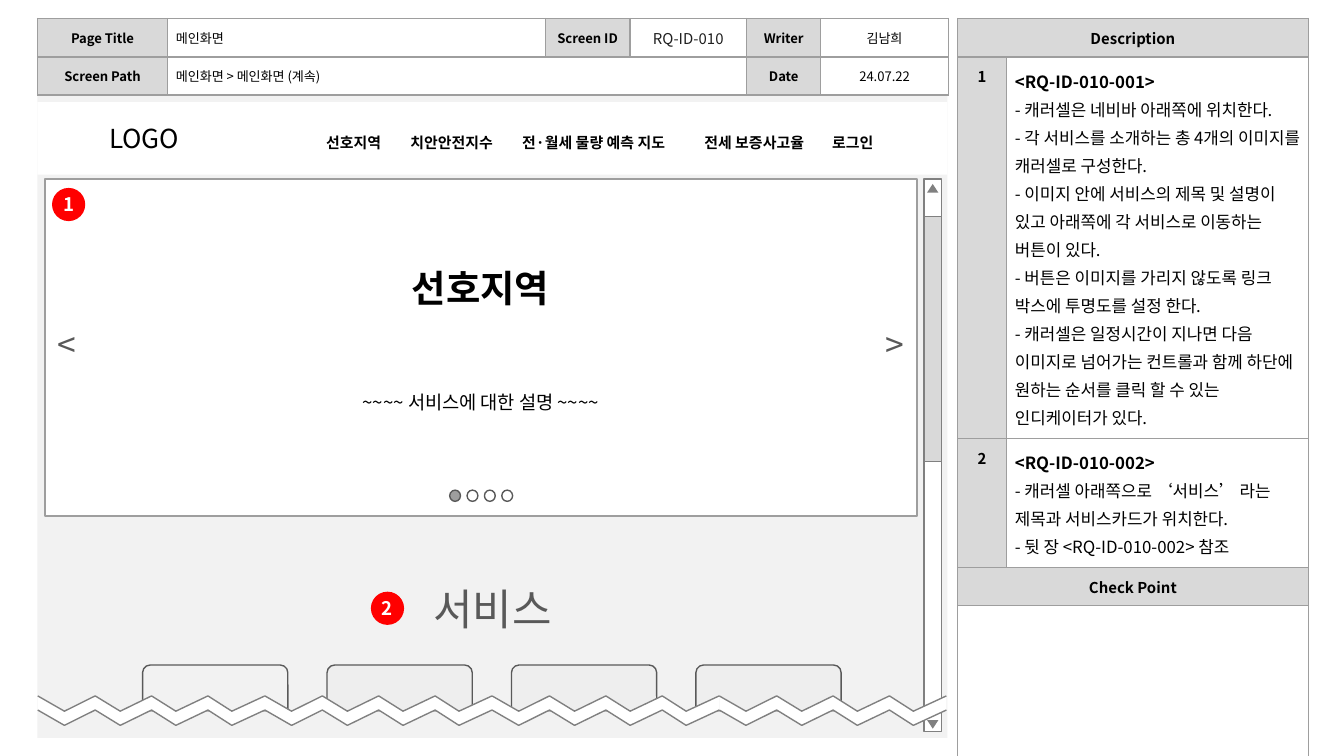
from lxml import etree
from pptx import Presentation
from pptx.dml.color import RGBColor
from pptx.enum.shapes import MSO_SHAPE
from pptx.enum.text import MSO_ANCHOR, PP_ALIGN
from pptx.oxml.ns import qn
from pptx.util import Pt

RECT, OVAL = MSO_SHAPE.RECTANGLE, MSO_SHAPE.OVAL
TRIANGLE, CARD = MSO_SHAPE.ISOSCELES_TRIANGLE, MSO_SHAPE.ROUND_2_SAME_RECTANGLE
LEFT, CENTER = PP_ALIGN.LEFT, PP_ALIGN.CENTER
TOP, MIDDLE = MSO_ANCHOR.TOP, MSO_ANCHOR.MIDDLE
FONT = "Noto Sans CJK KR"
BLACK, WHITE, DARK, GRAY = "000000", "FFFFFF", "595959", "9E9E9E"
HEAD, BAR, RED = "D9D9D9", "808080", "FF0000"


def rgb(value):
    """Turn a hex string into a colour."""
    return RGBColor.from_string(value)


def paint(sp, fill=None, line=None):
    """Set fill and outline and drop the shadow."""
    sp.shadow.inherit = False
    for part, color in ((sp.fill, fill), (sp.line.fill, line)):
        if color:
            part.solid()
            part.fore_color.rgb = rgb(color)
        else:
            part.background()
    if line:
        sp.line.width = Pt(0.75)
    return sp


def add_shape(shapes, kind, box, fill=None, line=None):
    """Add a preset shape in a box given in points."""
    return paint(shapes.add_shape(kind, *map(Pt, box)), fill, line)


def add_run(p, text, size, color=BLACK, bold=False):
    """Append a formatted run to a paragraph."""
    r = p.add_run()
    r.text = text
    for name, value in dict(size=Pt(size), bold=bold, name=FONT).items():
        setattr(r.font, name, value)
    r.font.color.rgb = rgb(color)
    etree.SubElement(r.font._element, qn("a:ea"), typeface=FONT)


def write(tf, lines, inset=7.2, align=CENTER):
    """Fill a text frame with (text, size, color, bold, space before) lines."""
    for name in ("margin_left", "margin_right", "margin_top", "margin_bottom"):
        setattr(tf, name, Pt(inset))
    tf.word_wrap = True
    tf.vertical_anchor = MIDDLE
    for i, (text, size, color, bold, gap) in enumerate(lines):
        p = tf.add_paragraph() if i else tf.paragraphs[0]
        p.alignment = align
        p.space_before = Pt(gap)
        add_run(p, text, size, color, bold)


def add_label(shapes, box, lines, align=CENTER):
    """Add a text box."""
    write(shapes.add_textbox(*map(Pt, box)).text_frame, lines, align=align)


def style_cell(cell, fill=None, anchor=MIDDLE):
    """Give a cell its borders, insets and fill."""
    tc_pr = cell._tc.get_or_add_tcPr()
    for side in ("a:lnL", "a:lnR", "a:lnT", "a:lnB"):
        ln = etree.SubElement(tc_pr, qn(side), w=str(Pt(0.75)))
        solid = etree.SubElement(ln, qn("a:solidFill"))
        etree.SubElement(solid, qn("a:srgbClr"), val=GRAY)
    for name in ("margin_left", "margin_right", "margin_top", "margin_bottom"):
        setattr(cell, name, Pt(4.5))
    cell.vertical_anchor = anchor
    if fill:
        cell.fill.solid()
        cell.fill.fore_color.rgb = rgb(fill)
    else:
        cell.fill.background()


def add_grid(shapes, x, y, cols, rows, spans):
    """Add a plain table with merged spans of (row, first, last)."""
    frame = shapes.add_table(len(rows), len(cols), *map(Pt, (x, y, sum(cols), sum(rows))))
    table = frame.table
    table.first_row = table.horz_banding = False
    for col, width in zip(table.columns, cols):
        col.width = Pt(width)
    for row, height in zip(table.rows, rows):
        row.height = Pt(height)
    for row, first, last in spans:
        table.cell(row, first).merge(table.cell(row, last))
    return table


def description_table(shapes, x, y):
    """Place the description column."""
    table = add_grid(shapes, x, y, (26.2, 161.7), (20.4, 203.8, 68.6, 20.4, 84),
                     [(row, 0, 1) for row in (0, 3, 4)])
    heads = ["Description", "1", "2", "Check Point", ""]
    notes = {
        1: ["<RQ-ID-010-001>",
            "- 캐러셀은 네비바 아래쪽에 위치한다.",
            "- 각 서비스를 소개하는 총 4개의 이미지를 캐러셀로 구성한다.",
            "- 이미지 안에 서비스의 제목 및 설명이 있고 아래쪽에 각 서비스로 이동하는 버튼이 있다.",
            "- 버튼은 이미지를 가리지 않도록 링크 박스에 투명도를 설정 한다.",
            "- 캐러셀은 일정시간이 지나면 다음 이미지로 넘어가는 컨트롤과 함께 하단에 "
            "원하는 순서를 클릭 할 수 있는 인디케이터가 있다."],
        2: ["<RQ-ID-010-002>",
            "- 캐러셀 아래쪽으로 ‘서비스’ 라는 제목과 서비스카드가 위치한다.",
            "- 뒷 장 <RQ-ID-010-002> 참조"],
    }
    for row, head in enumerate(heads):
        style_cell(table.cell(row, 0), HEAD if head else WHITE, TOP)
        style_cell(table.cell(row, 1), None, TOP)
        if head:
            p = table.cell(row, 0).text_frame.paragraphs[0]
            p.alignment = CENTER
            add_run(p, head, 8, bold=True)
        tf = table.cell(row, 1).text_frame
        for i, note in enumerate(notes.get(row, [])):
            p = tf.add_paragraph() if i else tf.paragraphs[0]
            p.line_spacing = 1.15
            add_run(p, note, 9, bold=i == 0)


def info_table(shapes, x, y):
    """Place the page information table."""
    table = add_grid(shapes, x, y, (69.8, 202.3, 45.4, 62.6, 39.6, 68.4), (20.4, 20.4),
                     [(1, 1, 3)])
    texts = [["Page Title", "메인화면", "Screen ID", "RQ-ID-010", "Writer", "김남희"],
             ["Screen Path", "메인화면 > 메인화면 (계속)", "", "", "Date", "24.07.22"]]
    for row, line in enumerate(texts):
        for col, text in enumerate(line):
            cell = table.cell(row, col)
            head = col % 2 == 0 and text != ""
            style_cell(cell, HEAD if head else None)
            if text:
                p = cell.text_frame.paragraphs[0]
                p.alignment = LEFT if col == 1 else CENTER
                is_id = text == "RQ-ID-010"
                add_run(p, text, 8 if is_id else 7, "1F1F1F" if is_id else BLACK, head)


def carousel(shapes, x, y, w, h):
    """Place the carousel with arrows, indicators and caption."""
    group = shapes.add_group_shape().shapes
    add_shape(group, RECT, (x, y, w, h), WHITE, GRAY)
    for text, left in (("<", x - 0.7), (">", x + w - 23.8)):
        add_label(group, (left, y + 76.3, 17.3, 24.5), [(text, 18, DARK, False, 0)], LEFT)
    for i in range(4):
        add_shape(group, OVAL, (x + 216.7 + 9.3 * i, y + h - 13.9, 5.8, 6),
                  WHITE if i else GRAY, DARK)
    add_label(shapes, (x + 143.3, y + 28.8, 180, 113.8),
              [("선호지역", 20, BLACK, True, 0),
               ("~~~~ 서비스에 대한 설명 ~~~~", 10, BLACK, False, 43.4)])


def services(shapes, x, y):
    """Place the service heading and its row of cards."""
    for i in range(4):
        add_shape(shapes, CARD, (x + 98.8 * i, y + 56.9, 77.8, 24.5),
                  "EEEEEE" if i else None, DARK)
    add_label(shapes, (x + 81.4, y, 212.4, 52.6), [("서비스", 23, DARK, False, 0)])


def badge(shapes, x, y, text):
    """Place a numbered red marker."""
    sp = add_shape(shapes, OVAL, (x, y, 17.8, 17.8), RED)
    write(sp.text_frame, [(text, 10, WHITE, True, 0)], 0)


def scrollbar(shapes, x, y, w, h):
    """Place the scroll track, its arrows and the thumb."""
    group = shapes.add_group_shape().shapes
    add_shape(group, RECT, (x, y, w, h), WHITE, BAR)
    for top, turn in ((y + h - 6.2, 180), (y + 2.6, 0)):
        add_shape(group, TRIANGLE, (x + 1.7, top, 6, 4.6), BAR).rotation = turn
    add_shape(shapes, RECT, (x, y + 20, w, 131.2), HEAD, BAR)


def tear(shapes, x, y, w):
    """Place the zigzag page break in four equal tiles."""
    group = shapes.add_group_shape().shapes
    steps = (0, 14.3, 30.8, 44.2, 61, 74, 91.2, 104, w / 4)
    for tile in range(4):
        upper, lower = ([(Pt(x + tile * w / 4 + step), Pt(y + drop + 8.2 * (i % 2)))
                         for i, step in enumerate(steps)] for drop in (0, 7.6))
        band = group.build_freeform(*upper[0])
        band.add_line_segments(upper[1:] + lower[::-1], close=True)
        paint(band.convert_to_shape(), WHITE)
        edges = group.build_freeform(*upper[0])
        edges.add_line_segments(upper[1:], close=False)
        edges.move_to(*lower[0])
        edges.add_line_segments(lower[1:], close=False)
        paint(edges.convert_to_shape(), None, BAR)


def nav_bar(shapes, x, y, w, h):
    """Place the navigation bar with its menu on tab stops."""
    tf = add_shape(shapes, RECT, (x, y, w, h), WHITE).text_frame
    write(tf, [("LOGO", 14, BLACK, False, 0)], align=LEFT)
    tf.margin_left = Pt(38.4)
    p = tf.paragraphs[0]
    tabs = etree.SubElement(p._p.get_or_add_pPr(), qn("a:tabLst"))
    menu = {"선호지역": 116.3, "치안안전지수": 161.4, "전·월세 물량 예측 지도": 221.3,
            "전세 보증사고율": 318.9, "로그인": 387.4}
    for text, stop in menu.items():
        etree.SubElement(tabs, qn("a:tab"), pos=str(Pt(stop)), algn="l")
        add_run(p, "\t" + text, 8, bold=True)


def main():
    """Build and save the slide."""
    prs = Presentation()
    prs.slide_width, prs.slide_height = Pt(720), Pt(405)
    s = prs.slides.add_slide(prs.slide_layouts[6]).shapes
    add_shape(s, RECT, (20, 51.1, 487.5, 344.2), "F2F2F2")
    description_table(s, 513, 9.9)
    info_table(s, 20, 9.9)
    carousel(s, 24.2, 96, 467.1, 180.5)
    services(s, 76.4, 299.4)
    badge(s, 27.9, 100.7, "1")
    badge(s, 198.7, 317, "2")
    scrollbar(s, 495, 96, 9.4, 296)
    tear(s, 20.2, 372.8, 486.8)
    nav_bar(s, 20, 54.7, 487.5, 38.9)
    prs.save("out.pptx")


if __name__ == "__main__":
    main()
